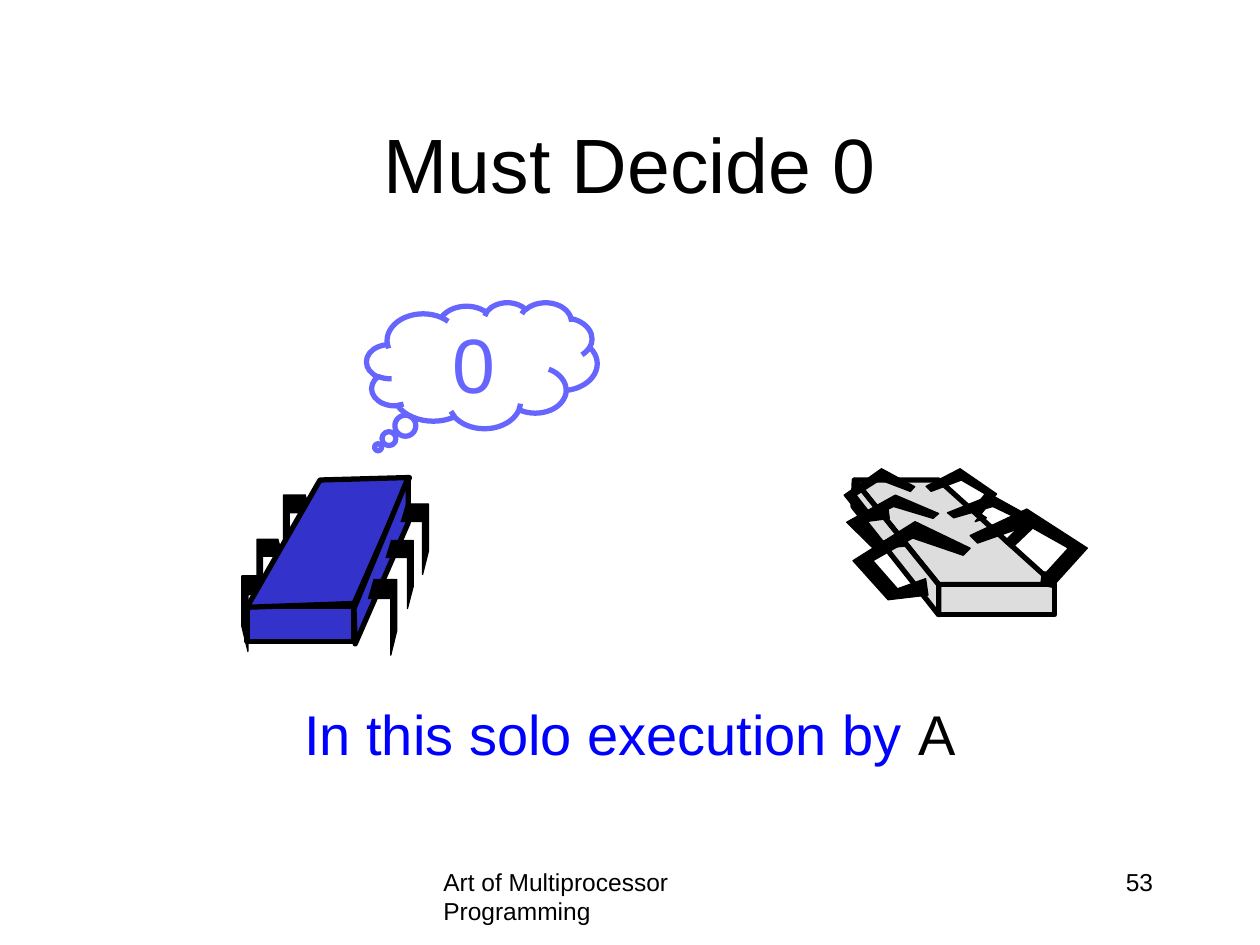
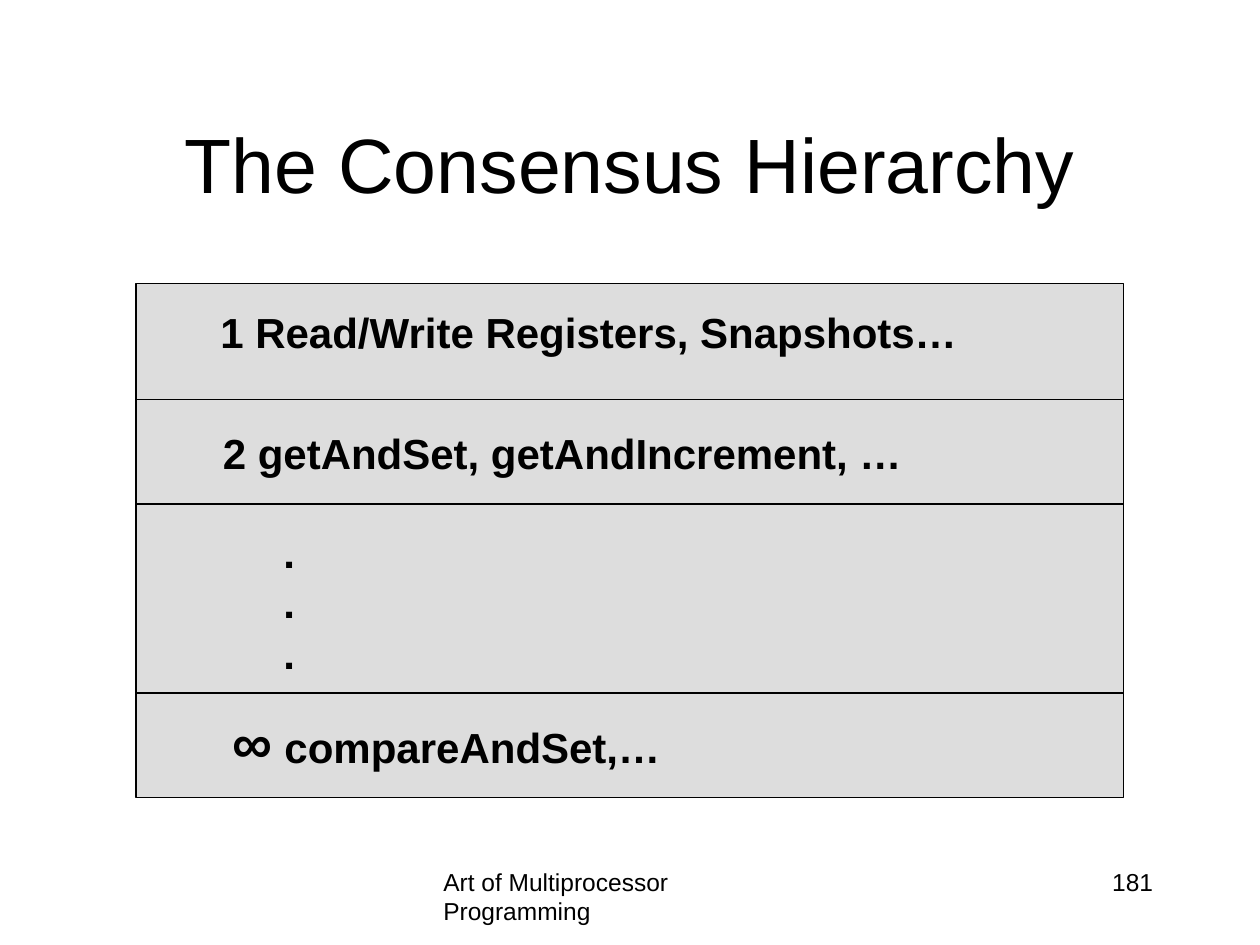
from typing import NamedTuple

from lxml import etree
from pptx import Presentation
from pptx.dml.color import RGBColor
from pptx.enum import shapes, text
from pptx.oxml import ns
from pptx.util import Inches, Pt

FONT = "Arial"
BLACK, BLUE, GREY = "000000", "3333CC", "DDDDDD"
TEXT_BLUE, THOUGHT = "0000FF", "6666FF"
FOOTER = "Art of Multiprocessor Programming"
LEFT, CENTER, RIGHT = text.PP_ALIGN.LEFT, text.PP_ALIGN.CENTER, text.PP_ALIGN.RIGHT

Point = tuple[float, float]


class Box(NamedTuple):
    left: float
    top: float
    width: float
    height: float

    def inches(self) -> list[int]:
        return [Inches(value) for value in self]


class Run(NamedTuple):
    text: str
    size: float
    color: str = BLACK
    bold: bool = False


class Leg(NamedTuple):
    """A leg outline scaled from a unit outline; a negative width mirrors it."""
    left: float
    top: float
    width: float
    height: float

    def place(self, outline: list[Point]) -> list[Point]:
        return [(self.left + x * self.width, self.top + y * self.height)
                for x, y in outline]


class Level(NamedTuple):
    box: Box
    paragraphs: list[list[Run]]


# Unit outlines of the legs
STANDING_LEG = [(0.81, 0), (0, 0), (0, 0.67), (0.21, 1), (0.21, 0.25), (1, 0.25)]
RESTING_LEG = [(0.62, 0.73), (0.64, 0.94), (0.3, 1), (0, 0.5), (0.53, 0),
               (1, 0.34), (0.94, 0.43), (0.51, 0.21), (0.17, 0.5), (0.38, 0.86)]

LEFT_STANDING = [Leg(1.92, 4.57, 0.23, 0.6), Leg(2.04, 4.28, 0.21, 0.54),
                 Leg(2.25, 3.93, 0.22, 0.56)]
RIGHT_STANDING = [Leg(3.15, 4.6, -0.23, 0.6), Leg(3.28, 4.29, -0.22, 0.54),
                  Leg(3.4, 4, -0.22, 0.56)]
LEFT_RESTING = [Leg(6.77, 4.14, 0.93, 0.62), Leg(6.72, 3.93, 0.73, 0.43),
                Leg(6.7, 3.72, 0.56, 0.42)]
FAR_RESTING = [
    [(7.94, 4.22), (7.97, 4.3), (8.03, 4.35), (8.25, 4.14), (7.87, 3.93), (7.52, 4.07),
     (7.57, 4.11), (7.88, 4.02), (8.13, 4.14), (7.98, 4.29)],
    [(7.7, 4.02), (7.83, 4.11), (7.74, 4.14), (7.91, 3.92), (7.62, 3.72), (7.35, 3.86),
     (7.39, 3.9), (7.63, 3.81), (7.82, 3.92), (7.7, 4.07)],
    [(8.31, 4.59), (8.27, 4.57), (8.26, 4.64), (8.35, 4.66), (8.63, 4.35), (8.15, 4.04),
     (7.7, 4.25), (7.76, 4.31), (8.16, 4.17), (8.48, 4.35), (8.28, 4.57), (8.31, 4.54),
     (8.24, 4.54)],
]

HIERARCHY = Box(1.08, 2.25, 7.84, 4.08)
DIVIDERS = [3.17, 4, 5.5]
LEVELS = [
    Level(Box(1.65, 2.38, 6.21, 0.5),
          [[Run("1 Read/Write Registers, Snapshots…", 24, bold=True)]]),
    Level(Box(1.67, 3.34, 5.84, 0.5),
          [[Run("2 getAndSet, getAndIncrement, …", 24, bold=True)]]),
    Level(Box(1.75, 5.57, 3.63, 0.64),
          [[Run("∞", 32, bold=True), Run(" compareAndSet,…", 24, bold=True)]]),
    Level(Box(2.15, 4.13, 0.29, 1.31), [[Run(".", 24, bold=True)]] * 3),
]


def rgb(color: str) -> RGBColor:
    return RGBColor.from_string(color)


def write(frame, paragraphs: list[list[Run]], align=LEFT) -> None:
    for index, runs in enumerate(paragraphs):
        paragraph = frame.paragraphs[0] if index == 0 else frame.add_paragraph()
        paragraph.alignment = align
        for item in runs:
            run = paragraph.add_run()
            run.text = item.text
            run.font.name = FONT
            run.font.size = Pt(item.size)
            run.font.bold = item.bold
            run.font.color.rgb = rgb(item.color)


def add_text(slide, box: Box, paragraphs: list[list[Run]], align=LEFT, wrap=True) -> None:
    frame = slide.shapes.add_textbox(*box.inches()).text_frame
    frame.word_wrap = wrap
    if not wrap:
        frame.auto_size = text.MSO_AUTO_SIZE.SHAPE_TO_FIT_TEXT
    write(frame, paragraphs, align)


def paint(shape, fill: str | None, line: str, width: float) -> None:
    shape.shadow.inherit = False
    if fill:
        shape.fill.solid()
        shape.fill.fore_color.rgb = rgb(fill)
    else:
        shape.fill.background()
    shape.line.color.rgb = rgb(line)
    shape.line.width = Pt(width)


def add_rectangle(parent, box: Box, fill: str, width: float) -> None:
    shape = parent.shapes.add_shape(shapes.MSO_SHAPE.RECTANGLE, *box.inches())
    paint(shape, fill, BLACK, width)


def add_outline(parent, points: list[Point], fill: str = BLACK,
                width: float = 0.75, close: bool = True) -> None:
    start, *rest = [(Inches(x), Inches(y)) for x, y in points]
    builder = parent.shapes.build_freeform(*start)
    builder.add_line_segments(rest, close=close)
    paint(builder.convert_to_shape(), fill, BLACK, width)


def add_divider(slide, y: float) -> None:
    right = HIERARCHY.left + HIERARCHY.width
    connector = slide.shapes.add_connector(
        shapes.MSO_CONNECTOR.STRAIGHT,
        Inches(HIERARCHY.left), Inches(y), Inches(right), Inches(y))
    connector.line.color.rgb = rgb(BLACK)
    connector.line.width = Pt(0.75)
    properties = connector._element.spPr
    etree.SubElement(properties, ns.qn("a:effectLst"))


def add_slide(presentation, title: str, number: int):
    """Add a slide with the shared title, footer and slide number."""
    slide = presentation.slides.add_slide(presentation.slide_layouts[5])
    add_text(slide, Box(3.42, 6.83, 3.17, 0.5), [[Run(FOOTER, 14)]])
    add_text(slide, Box(7.17, 6.83, 2.08, 0.5), [[Run(str(number), 14)]], RIGHT)
    placeholder = slide.shapes.title
    placeholder.left, placeholder.top, placeholder.width, placeholder.height = Box(
        0.75, 0.67, 8.5, 1.25).inches()
    frame = placeholder.text_frame
    frame.vertical_anchor = text.MSO_ANCHOR.MIDDLE
    frame.auto_size = text.MSO_AUTO_SIZE.NONE
    write(frame, [[Run(title, 44)]], CENTER)
    return slide


def draw_running_thread(slide) -> None:
    group = slide.shapes.add_group_shape()
    add_rectangle(group, Box(1.96, 4.81, 0.85, 0.28), BLUE, 3)
    for leg in LEFT_STANDING:
        add_outline(group, leg.place(STANDING_LEG), close=False)
    add_outline(group, [(1.96, 4.82), (2.81, 4.79), (3.25, 3.79), (2.54, 3.81)], BLUE, 3)
    add_outline(group, [(3.24, 3.79), (3.24, 4.15), (2.82, 5.11), (2.81, 4.83)], BLUE, 3)
    for leg in RIGHT_STANDING:
        add_outline(group, leg.place(STANDING_LEG), close=False)


def draw_sleeping_thread(slide) -> None:
    group = slide.shapes.add_group_shape()
    add_outline(group, [(6.78, 3.81), (7.45, 4.64), (8.37, 4.64), (7.45, 3.81)], GREY, 3)
    add_rectangle(group, Box(7.45, 4.64, 0.92, 0.24), GREY, 3)
    add_outline(group, [(6.78, 3.81), (6.77, 4.02), (7.45, 4.88), (7.45, 4.64)], GREY, 3)
    for leg in LEFT_RESTING:
        add_outline(group, leg.place(RESTING_LEG))
    for points in FAR_RESTING:
        add_outline(group, points)


def draw_thought(slide) -> None:
    cloud = slide.shapes.add_shape(
        shapes.MSO_SHAPE.CLOUD_CALLOUT, *Box(2.91, 2.4, 1.83, 1).inches())
    cloud.adjustments[0], cloud.adjustments[1] = -0.45, 0.65
    paint(cloud, None, THOUGHT, 3)
    cloud.text_frame.vertical_anchor = text.MSO_ANCHOR.MIDDLE
    write(cloud.text_frame, [[Run("0", 44, THOUGHT)]], CENTER)


def build_decision_slide(presentation) -> None:
    slide = add_slide(presentation, "Must Decide 0", 53)
    add_text(slide, Box(0.75, 5.5, 8.5, 1.17),
             [[Run("In this solo execution by ", 32, TEXT_BLUE), Run("A", 32)]], CENTER)
    draw_running_thread(slide)
    draw_sleeping_thread(slide)
    draw_thought(slide)


def build_hierarchy_slide(presentation) -> None:
    slide = add_slide(presentation, "The Consensus Hierarchy", 181)
    add_rectangle(slide, HIERARCHY, GREY, 0.75)
    for y in DIVIDERS:
        add_divider(slide, y)
    for level in LEVELS:
        add_text(slide, level.box, level.paragraphs, wrap=False)


def main() -> None:
    presentation = Presentation()
    presentation.slide_width, presentation.slide_height = Inches(10), Inches(7.5)
    build_decision_slide(presentation)
    build_hierarchy_slide(presentation)
    presentation.save("out.pptx")


if __name__ == "__main__":
    main()
